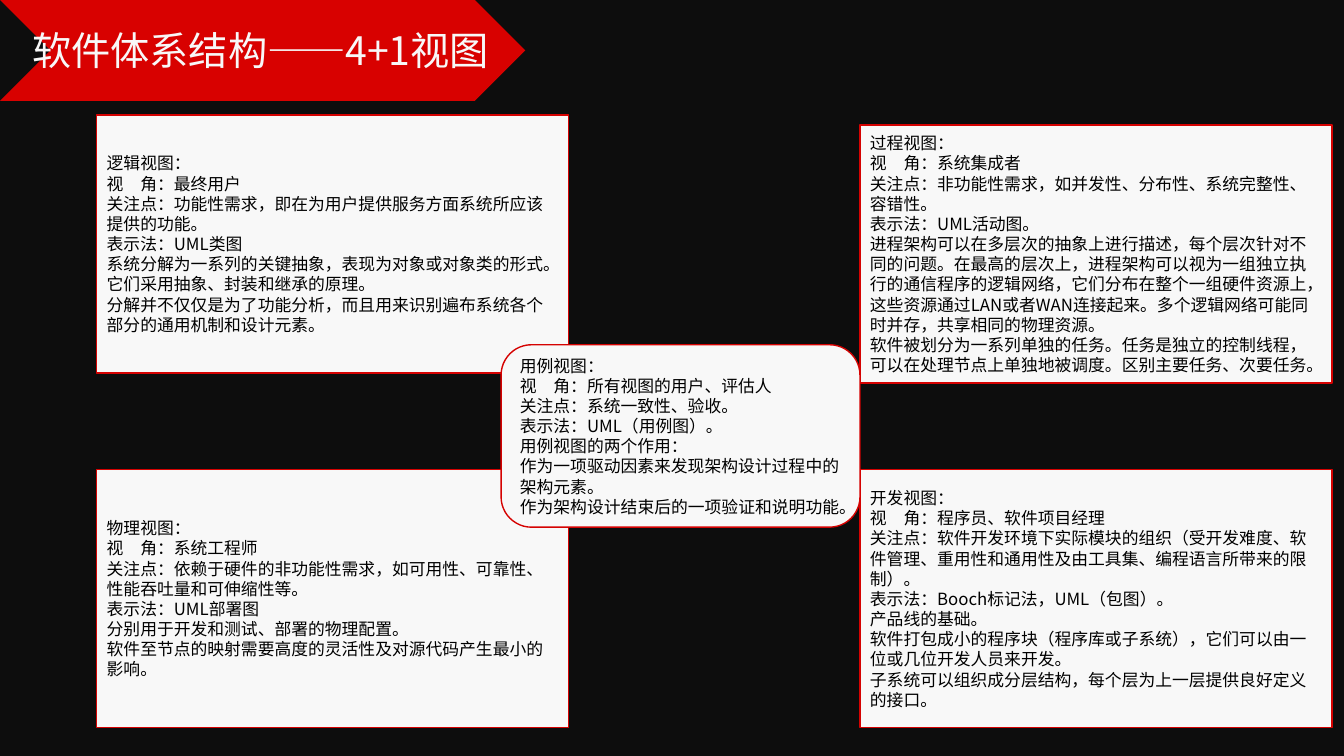
from lxml.etree import SubElement
from pptx import Presentation
from pptx.dml.color import RGBColor
from pptx.enum.lang import MSO_LANGUAGE_ID as Lang
from pptx.enum.shapes import MSO_SHAPE as Shape
from pptx.enum.text import MSO_ANCHOR as Anchor, MSO_AUTO_SIZE as Fit, PP_ALIGN as Align
from pptx.oxml.ns import qn
from pptx.util import Inches, Pt

DARK = RGBColor(0x0D, 0x0D, 0x0D)
RED = RGBColor(0xD8, 0x01, 0x00)
EDGE = RGBColor(0xD5, 0x02, 0x01)
LIGHT = RGBColor(0xF8, 0xF8, 0xF8)
BLACK = RGBColor(0, 0, 0)
FONT = "Noto Sans CJK SC"

# Slide size and the grid of view cards, in inches
WIDE, HIGH = 13.33, 7.5
CARD_W, CARD_H = 4.68, 2.56
LEFT, RIGHT = 0.96, 8.53
LOW = 4.66

LOGIC = [
    "逻辑视图：",
    "视　角：最终用户",
    "关注点：功能性需求，即在为用户提供服务方面系统所应该提供的功能。",
    "表示法：UML类图",
    "系统分解为一系列的关键抽象，表现为对象或对象类的形式。它们采用抽象、封装和继承的原理。",
    "分解并不仅仅是为了功能分析，而且用来识别遍布系统各个部分的通用机制和设计元素。",
]
PROCESS = [
    "过程视图：",
    "视　角：系统集成者",
    "关注点：非功能性需求，如并发性、分布性、系统完整性、容错性。",
    "表示法：UML活动图。",
    "进程架构可以在多层次的抽象上进行描述，每个层次针对不同的问题。"
    "在最高的层次上，进程架构可以视为一组独立执行的通信程序的逻辑网络，"
    "它们分布在整个一组硬件资源上，这些资源通过LAN或者WAN连接起来。"
    "多个逻辑网络可能同时并存，共享相同的物理资源。",
    "软件被划分为一系列单独的任务。任务是独立的控制线程，"
    "可以在处理节点上单独地被调度。区别主要任务、次要任务。",
]
PHYSICAL = [
    "物理视图：",
    "视　角：系统工程师",
    "关注点：依赖于硬件的非功能性需求，如可用性、可靠性、性能吞吐量和可伸缩性等。",
    "表示法：UML部署图",
    "分别用于开发和测试、部署的物理配置。",
    "软件至节点的映射需要高度的灵活性及对源代码产生最小的影响。",
]
DEVELOP = [
    "开发视图：",
    "视　角：程序员、软件项目经理",
    "关注点：软件开发环境下实际模块的组织（受开发难度、软件管理、"
    "重用性和通用性及由工具集、编程语言所带来的限制）。",
    "表示法：Booch标记法，UML（包图）。",
    "产品线的基础。",
    "软件打包成小的程序块（程序库或子系统），它们可以由一位或几位开发人员来开发。",
    "子系统可以组织成分层结构，每个层为上一层提供良好定义的接口。",
]
USE_CASE = [
    "用例视图：",
    "视　角：所有视图的用户、评估人",
    "关注点：系统一致性、验收。",
    "表示法：UML（用例图）。",
    "用例视图的两个作用：",
    "作为一项驱动因素来发现架构设计过程中的架构元素。",
    "作为架构设计结束后的一项验证和说明功能。",
]


def write(frame, lines, size=12, color=BLACK, anchor=Anchor.MIDDLE, wrap=True):
    """Fill a text frame with one left-aligned paragraph per line."""
    frame.word_wrap = wrap
    frame.vertical_anchor = anchor
    for i, line in enumerate(lines):
        para = frame.add_paragraph() if i else frame.paragraphs[0]
        para.alignment = Align.LEFT
        run = para.add_run()
        run.text = line
        font = run.font
        font.size, font.name = Pt(size), FONT
        font.color.rgb = color
        font.language_id = Lang.SIMPLIFIED_CHINESE
        SubElement(font._element, qn("a:ea"), typeface=FONT)


def draw(slide, kind, box, fill, edge=None):
    """Add a flat preset shape in the given box."""
    shape = slide.shapes.add_shape(kind, *map(Inches, box))
    shape.shadow.inherit = False
    shape.fill.solid()
    shape.fill.fore_color.rgb = fill
    if edge is None:
        shape.line.fill.background()
    else:
        shape.line.color.rgb = edge
        shape.line.width = Pt(1)
    return shape


def header(slide, box, text):
    """Red chevron with the title on top of it."""
    x, y, w, h = box
    arrow = draw(slide, Shape.CHEVRON, box, RED)
    title = slide.shapes.title
    arrow._element.addnext(title._element)
    title.left, title.top = Inches(x + 0.22), Inches(y + 0.21 * h)
    title.width, title.height = Inches(w - 0.22), Inches(0.57 * h)
    title.text_frame.auto_size = Fit.NONE
    write(title.text_frame, [text], size=28, color=LIGHT, anchor=Anchor.TOP, wrap=False)


def card(slide, box, lines, kind=Shape.RECTANGLE):
    """Light card that describes one view."""
    write(draw(slide, kind, box, LIGHT, EDGE).text_frame, lines)


def main():
    deck = Presentation()
    deck.slide_width, deck.slide_height = Inches(WIDE), Inches(HIGH)
    slide = deck.slides.add_slide(deck.slide_layouts[5])
    slide.background.fill.solid()
    slide.background.fill.fore_color.rgb = DARK

    header(slide, (0, 0, 5.21, 1), "软件体系结构——4+1视图")

    # Four outer views
    views = [
        (LEFT, 1.14, LOGIC),
        (RIGHT, 1.24, PROCESS),
        (LEFT, LOW, PHYSICAL),
        (RIGHT, LOW, DEVELOP),
    ]
    for x, y, lines in views:
        card(slide, (x, y, CARD_W, CARD_H), lines)

    # Central view, which touches the right column
    mid_w = 3.56
    card(slide, (RIGHT - mid_w, 3.42, mid_w, 1.81), USE_CASE, Shape.ROUNDED_RECTANGLE)

    deck.save("out.pptx")


if __name__ == "__main__":
    main()
